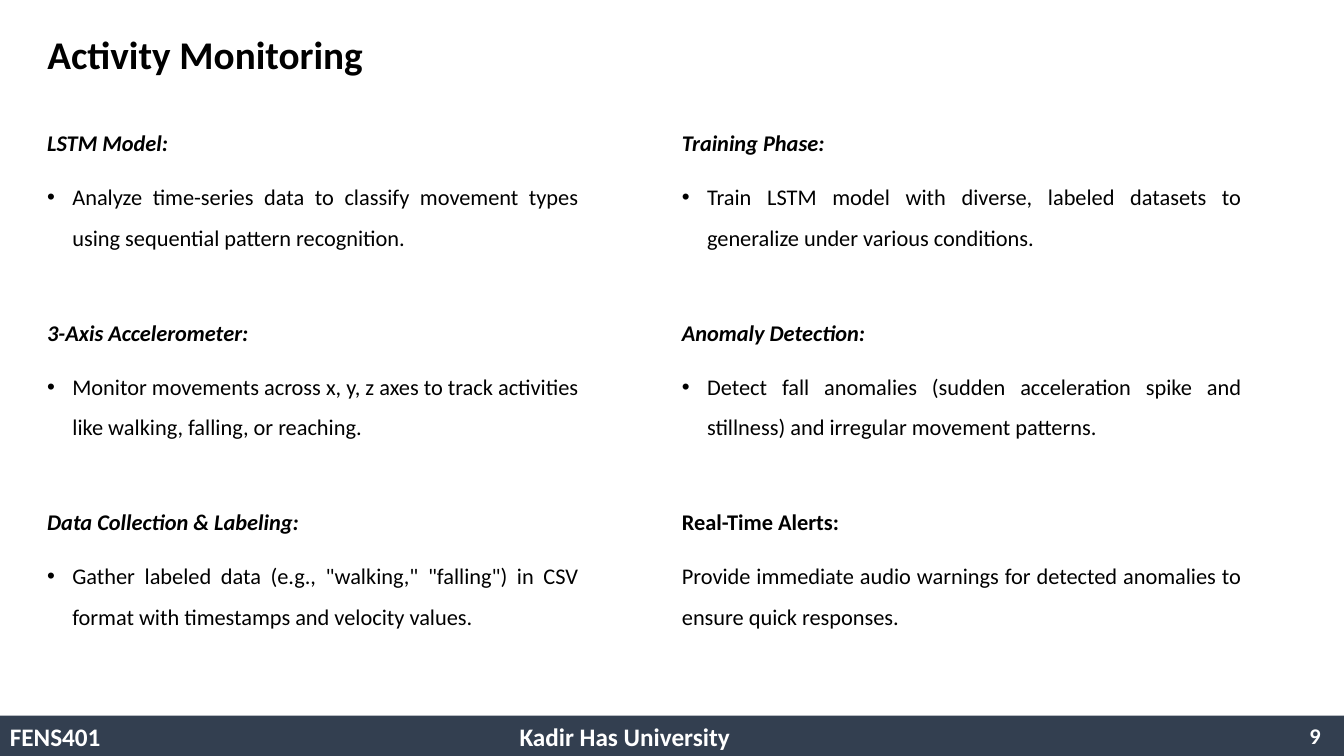
from lxml import etree
from pptx import Presentation
from pptx.dml.color import RGBColor
from pptx.enum.shapes import MSO_SHAPE
from pptx.enum.text import MSO_ANCHOR, PP_ALIGN
from pptx.oxml.ns import qn
from pptx.util import Pt

RECTANGLE = MSO_SHAPE.RECTANGLE
MIDDLE, TOP = MSO_ANCHOR.MIDDLE, MSO_ANCHOR.TOP
LEFT, RIGHT, JUSTIFY = PP_ALIGN.LEFT, PP_ALIGN.RIGHT, PP_ALIGN.JUSTIFY

SLIDE_WIDTH, SLIDE_HEIGHT = 960, 540
FOOTER_TOP, FOOTER_HEIGHT = 511.2, 28.8
BLACK, WHITE, NAVY = "000000", "FFFFFF", "333F50"
BULLET_INDENT = 18
HEADING_GAP, BODY_GAP = 39, 10

LEFT_TOPICS = [
    ("LSTM Model:", "Analyze time-series data to classify movement types "
     "using sequential pattern recognition.", True),
    ("3-Axis Accelerometer:", "Monitor movements across x, y, z axes to track "
     "activities like walking, falling, or reaching.", True),
    ("Data Collection & Labeling:", 'Gather labeled data (e.g., "walking," "falling") '
     "in CSV format with timestamps and velocity values.", True),
]
RIGHT_TOPICS = [
    ("Training Phase:", "Train LSTM model with diverse, labeled datasets "
     "to generalize under various conditions.", True),
    ("Anomaly Detection:", "Detect fall anomalies (sudden acceleration spike and "
     "stillness) and irregular movement patterns.", True),
    ("Real-Time Alerts:", "Provide immediate audio warnings for detected anomalies "
     "to ensure quick responses.", False),
]


def color(hex_code):
    """Return the colour for a hex string."""
    return RGBColor.from_string(hex_code)


def apply(target, values):
    """Set each attribute named in a dict."""
    for name, value in values.items():
        setattr(target, name, value)


def write(paragraph, text, size, hex_code, layout, bold=False, italic=False):
    """Write one formatted run into a paragraph."""
    apply(paragraph, layout)
    run = paragraph.add_run()
    run.text = text
    apply(run.font, {"name": "Calibri", "size": Pt(size), "bold": bold, "italic": italic})
    run.font.color.rgb = color(hex_code)


def add_bullet(paragraph):
    """Give a paragraph a hanging round bullet."""
    properties = paragraph._p.get_or_add_pPr()
    properties.set("marL", str(Pt(BULLET_INDENT)))
    properties.set("indent", str(Pt(-BULLET_INDENT)))
    etree.SubElement(properties, qn("a:buFont")).set("typeface", "Arial")
    etree.SubElement(properties, qn("a:buChar")).set("char", "•")


def add_tab_stop(paragraph, position):
    """Add a left tab stop to a paragraph."""
    tabs = etree.SubElement(paragraph._p.get_or_add_pPr(), qn("a:tabLst"))
    stop = etree.SubElement(tabs, qn("a:tab"))
    stop.set("pos", str(Pt(position)))
    stop.set("algn", "l")


def add_text_box(slide, left, top, width, height, anchor):
    """Add a wrapping text box and return its text frame."""
    box = slide.shapes.add_textbox(Pt(left), Pt(top), Pt(width), Pt(height))
    apply(box.text_frame, {"word_wrap": True, "vertical_anchor": anchor})
    return box.text_frame


def add_title(slide, text):
    """Place and fill the title placeholder."""
    title = slide.shapes.title
    apply(title, {"left": Pt(26.64), "top": Pt(0), "width": Pt(828), "height": Pt(80.64)})
    title.text_frame.vertical_anchor = MIDDLE
    write(title.text_frame.paragraphs[0], text, 28, BLACK,
          {"alignment": LEFT, "line_spacing": 0.9}, bold=True)


def add_topics(slide, left, width, topics):
    """Add a column of headings, each with its explanation."""
    frame = add_text_box(slide, left, 79.2, width, 424, TOP)
    layout = {"alignment": JUSTIFY, "line_spacing": 1.5}
    for index, (heading, body, bulleted) in enumerate(topics):
        first = frame.paragraphs[0] if index == 0 else frame.add_paragraph()
        gap = Pt(HEADING_GAP if index else 0)
        write(first, heading, 16, BLACK, {**layout, "space_before": gap},
              bold=True, italic=bulleted)
        second = frame.add_paragraph()
        if bulleted:
            add_bullet(second)
        write(second, body, 16, BLACK, {**layout, "space_before": Pt(BODY_GAP)})


def add_footer(slide):
    """Add the footer bar with course, university and page number."""
    bar = slide.shapes.add_shape(RECTANGLE, Pt(0), Pt(FOOTER_TOP),
                                 Pt(SLIDE_WIDTH), Pt(FOOTER_HEIGHT))
    bar.shadow.inherit = False
    bar.fill.solid()
    bar.fill.fore_color.rgb = color(NAVY)
    bar.line.fill.background()
    number = add_text_box(slide, 734.4, FOOTER_TOP, 216, FOOTER_HEIGHT, MIDDLE)
    write(number.paragraphs[0], "9", 16, WHITE, {"alignment": RIGHT}, bold=True)
    label = add_text_box(slide, 0, FOOTER_TOP + 0.7, SLIDE_WIDTH, FOOTER_HEIGHT, MIDDLE)
    add_tab_stop(label.paragraphs[0], 364)
    write(label.paragraphs[0], "FENS401\tKadir Has University", 18, WHITE,
          {"alignment": LEFT}, bold=True)


def main():
    """Build and save the slide."""
    presentation = Presentation()
    apply(presentation, {"slide_width": Pt(SLIDE_WIDTH), "slide_height": Pt(SLIDE_HEIGHT)})
    slide = presentation.slides.add_slide(presentation.slide_layouts.get_by_name("Title Only"))
    add_footer(slide)
    add_title(slide, "Activity Monitoring")
    add_topics(slide, 26.64, 393.84, LEFT_TOPICS)
    add_topics(slide, 480, 414, RIGHT_TOPICS)
    presentation.save("out.pptx")


if __name__ == "__main__":
    main()
